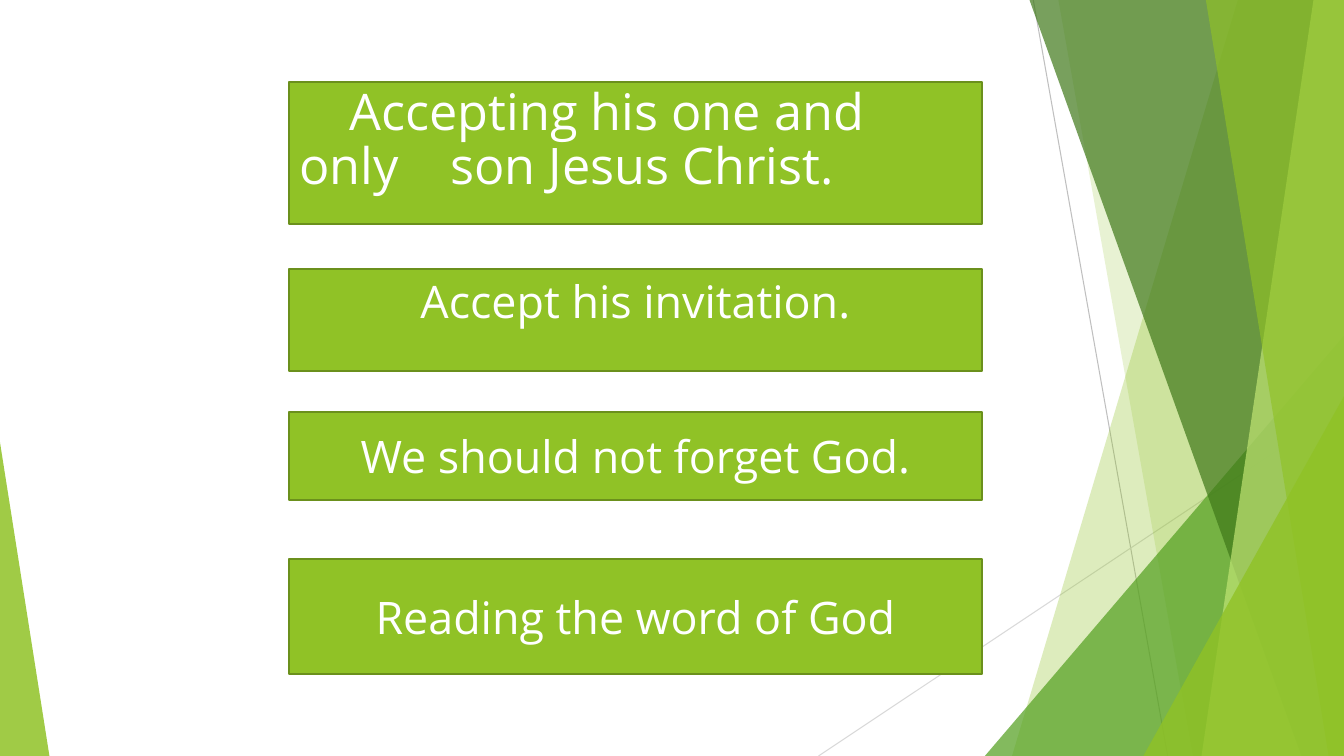
from lxml import etree
from pptx import Presentation
from pptx.dml.color import RGBColor
from pptx.enum.shapes import MSO_CONNECTOR, MSO_SHAPE
from pptx.enum.text import MSO_ANCHOR, PP_ALIGN
from pptx.oxml.ns import qn
from pptx.util import Inches, Pt

RECT, TRIANGLE = MSO_SHAPE.RECTANGLE, MSO_SHAPE.ISOSCELES_TRIANGLE
STRAIGHT = MSO_CONNECTOR.STRAIGHT
TOP, MIDDLE = MSO_ANCHOR.TOP, MSO_ANCHOR.MIDDLE
LEFT, CENTER = PP_ALIGN.LEFT, PP_ALIGN.CENTER
FONT = "Open Sans"
COLORS = {"lime": "90C226", "green": "54A021", "dark": "3F7819", "pale": "C0E474",
          "border": "6B901C", "white": "FFFFFF", "ray": "BFBFBF", "faint": "D9D9D9"}


def rgb(name):
    """Return the named colour."""
    return RGBColor.from_string(COLORS[name])


def at(box, col, row):
    """Return the point at a column and row of the box's 100 by 100 grid."""
    x, y, w, h = box
    return round(x + w * col / 100), round(y + h * row / 100)


def part(box, col, row, cols, rows):
    """Return the box covering some columns and rows of another box."""
    x, y = at(box, col, row)
    right, bottom = at(box, col + cols, row + rows)
    return x, y, right - x, bottom - y


def paint(sp, color, opacity=100):
    """Fill a shape without line or shadow."""
    sp.shadow.inherit = False
    sp.fill.solid()
    sp.fill.fore_color.rgb = rgb(color)
    sp.line.fill.background()
    if opacity < 100:
        clr = sp.fill._xPr.find(qn("a:solidFill"))[0]
        etree.SubElement(clr, qn("a:alpha")).set("val", str(opacity * 1000))


def write(sp, text, size=32, color="white", align=CENTER, anchor=MIDDLE, spacing=1.0):
    """Write one formatted paragraph into a shape."""
    tf = sp.text_frame
    tf.word_wrap = True
    tf.vertical_anchor = anchor
    p = tf.paragraphs[0]
    p.text = text
    p.alignment = align
    p.line_spacing = spacing
    p._p.get_or_add_pPr().set("defTabSz", str(Inches(0.5)))
    for r in p.runs:
        r.font.size, r.font.name = Pt(size), FONT
        r.font.color.rgb = rgb(color)


def ray(s, box, start, end, color):
    """Draw a thin line between two grid points."""
    c = s.shapes.add_connector(STRAIGHT, *at(box, *start), *at(box, *end))
    c.line.color.rgb, c.line.width = rgb(color), Pt(0.75)
    etree.SubElement(c._element.spPr, qn("a:effectLst"))


def band(s, box, top, bottom, color, opacity):
    """Draw a full-height facet whose left edge runs from top to bottom."""
    fb = s.shapes.build_freeform(*at(box, top, 0))
    fb.add_line_segments([at(box, 100, 0), at(box, 100, 100), at(box, bottom, 100)])
    paint(fb.convert_to_shape(), color, opacity)


def corner(s, box, col, row, cols, apex, color, opacity):
    """Draw a right triangle standing on the bottom edge."""
    sp = s.shapes.add_shape(TRIANGLE, *part(box, col, row, cols, 100 - row))
    sp.adjustments[0] = apex
    paint(sp, color, opacity)


def facets(s, box):
    """Draw the faceted backdrop."""
    ray(s, box, (76.88, 0), (86.88, 100), "ray")
    ray(s, box, (100, 53.7), (60.9, 100), "faint")
    band(s, box, 92.1, 75.3, "lime", 30)
    band(s, box, 78.75, 88.75, "lime", 20)
    corner(s, box, 73.28, 44.4, 26.72, 1, "green", 72)
    band(s, box, 76.6, 96.83, "dark", 70)
    band(s, box, 97.73, 89.4, "pale", 70)
    band(s, box, 89.72, 98.85, "lime", 65)
    corner(s, box, 85.07, 52.4, 14.93, 1, "lime", 80)
    corner(s, box, 0, 58.5, 3.68, 0, "lime", 85)


def panels(s, box):
    """Stack the four message panels in the box."""
    title = {"size": 36, "align": LEFT, "anchor": TOP, "spacing": 0.9}
    for row, rows, text, style in (
            (10.8, 18.8, "\tAccepting his one and\vonly \tson Jesus Christ.", title),
            (35.6, 13.5, "Accept his invitation.", {"anchor": TOP}),
            (54.5, 11.6, "We should not forget God.", {}),
            (74, 15.2, "Reading the word of God", {})):
        sp = s.shapes.add_shape(RECT, *part(box, 0, row, 100, rows))
        paint(sp, "lime")
        sp.line.color.rgb, sp.line.width = rgb("border"), Pt(1.5)
        write(sp, text, **style)


def main():
    """Build and save the slide."""
    prs = Presentation()
    prs.slide_width, prs.slide_height = Inches(13.33), Inches(7.5)
    s = prs.slides.add_slide(prs.slide_layouts[6])
    page = (0, 0, prs.slide_width, prs.slide_height)
    facets(s, page)
    panels(s, part(page, 21.53, 0, 51.54, 100))
    prs.save("out.pptx")


main()
